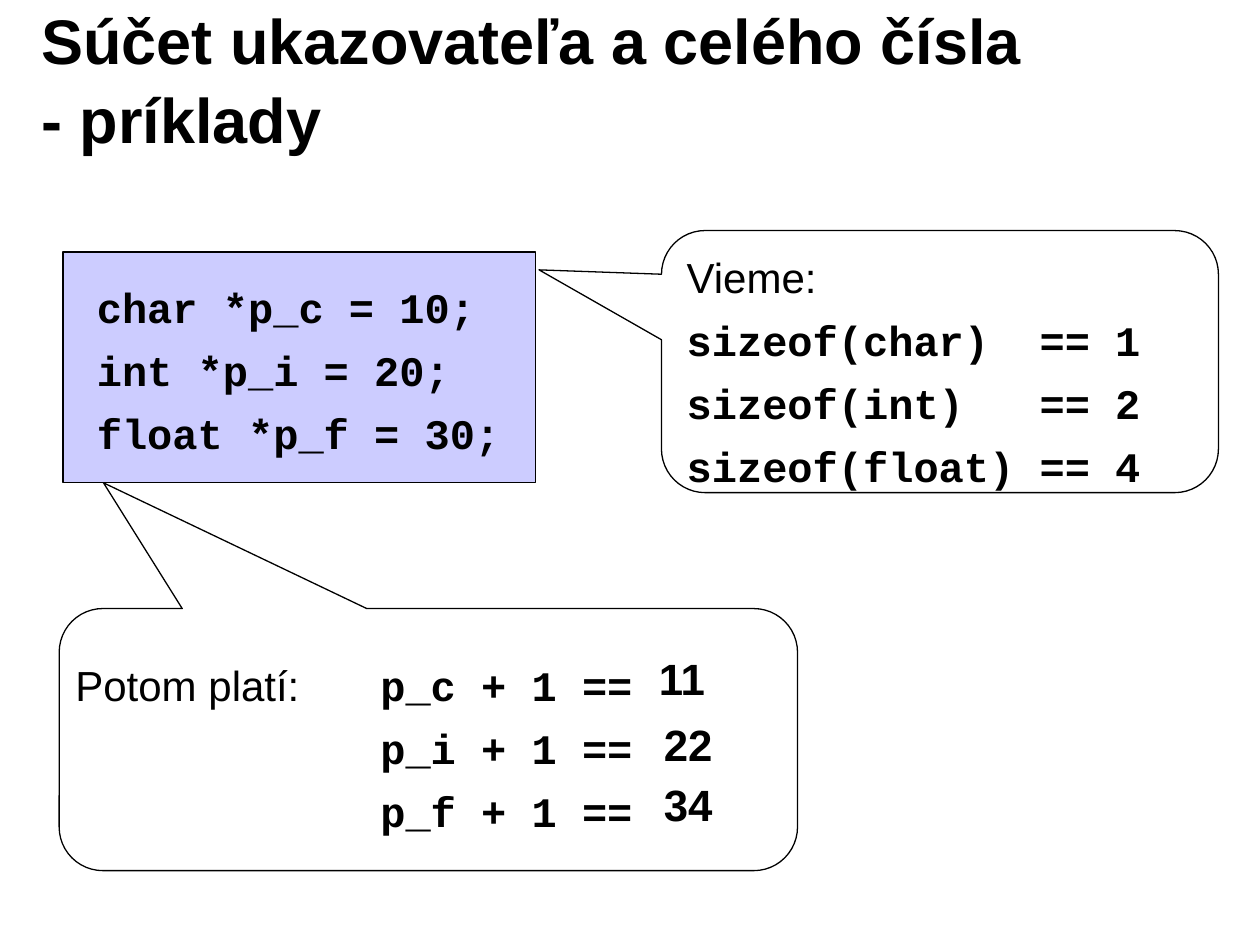
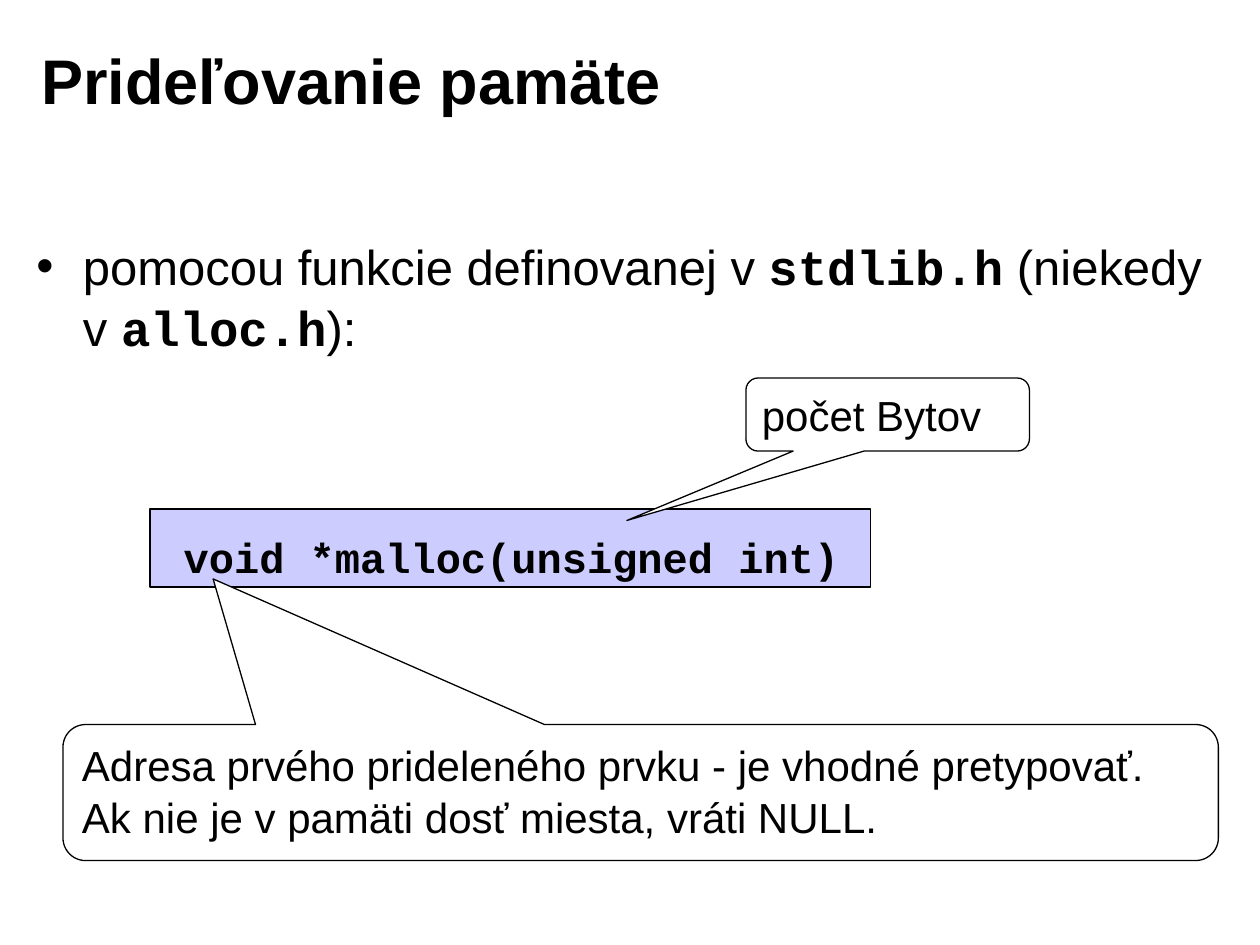
from dataclasses import dataclass
from typing import NamedTuple

from lxml.etree import SubElement
from pptx import Presentation
from pptx.dml.color import RGBColor
from pptx.enum.shapes import MSO_SHAPE
from pptx.enum.text import MSO_ANCHOR, PP_ALIGN
from pptx.oxml.ns import qn
from pptx.shapes.autoshape import Shape
from pptx.slide import Slide
from pptx.util import Inches, Pt


@dataclass(frozen=True)
class Theme:
    ink: RGBColor = RGBColor(0x00, 0x00, 0x00)
    paper: RGBColor = RGBColor(0xFF, 0xFF, 0xFF)
    code_fill: RGBColor = RGBColor(0xCC, 0xCC, 0xFF)
    prose_font: str = "Arial"
    code_font: str = "Courier New"
    title_size: int = 36
    bullet_size: int = 28
    result_size: int = 25
    text_size: int = 24
    paragraph_gap: int = 6
    line_spacing: float = 1.04
    outline: float = 0.75


THEME = Theme()


class Box(NamedTuple):
    left: float
    top: float
    width: float
    height: float

    def lengths(self) -> list[Inches]:
        return [Inches(value) for value in self]


class Run(NamedTuple):
    text: str
    code: bool = False


class Callout(NamedTuple):
    box: Box
    tip_x: float  # tip offset from the centre, as a share of the width
    tip_y: float  # tip offset from the centre, as a share of the height
    lines: list[list[Run]]


class Result(NamedTuple):
    text: str
    box: Box


def write_text(shape: Shape, lines: list[list[Run]], *, size: int = THEME.text_size,
               bold: bool = False, gap: int = THEME.paragraph_gap,
               anchor: MSO_ANCHOR = MSO_ANCHOR.TOP, bullet: bool = False) -> None:
    """Fill a shape with one paragraph per line; code runs are bold monospace."""
    frame = shape.text_frame
    frame.word_wrap = True
    frame.vertical_anchor = anchor
    for index, line in enumerate(lines):
        paragraph = frame.add_paragraph() if index else frame.paragraphs[0]
        paragraph.alignment = PP_ALIGN.LEFT
        paragraph.line_spacing = THEME.line_spacing
        if index:
            paragraph.space_before = Pt(gap)
        if bullet:
            properties = paragraph._p.get_or_add_pPr()
            properties.set("marL", str(Inches(0.37)))
            properties.set("indent", str(Inches(-0.37)))
            SubElement(properties, qn("a:buFont")).set("typeface", THEME.prose_font)
            SubElement(properties, qn("a:buChar")).set("char", "•")
        for part in line:
            run = paragraph.add_run()
            run.text = part.text
            run.font.name = THEME.code_font if part.code else THEME.prose_font
            run.font.size = Pt(size)
            run.font.bold = bold or part.code
            run.font.color.rgb = THEME.ink


def add_text(slide: Slide, box: Box, lines: list[list[Run]], **text_format) -> None:
    write_text(slide.shapes.add_textbox(*box.lengths()), lines, **text_format)


def add_outlined(slide: Slide, kind: MSO_SHAPE, box: Box, fill: RGBColor) -> Shape:
    shape = slide.shapes.add_shape(kind, *box.lengths())
    shape.shadow.inherit = False
    shape.fill.solid()
    shape.fill.fore_color.rgb = fill
    shape.line.color.rgb = THEME.ink
    shape.line.width = Pt(THEME.outline)
    return shape


def add_callout(slide: Slide, callout: Callout) -> None:
    shape = add_outlined(slide, MSO_SHAPE.ROUNDED_RECTANGULAR_CALLOUT,
                         callout.box, THEME.paper)
    shape.adjustments[0] = callout.tip_x
    shape.adjustments[1] = callout.tip_y
    if callout.lines:
        write_text(shape, callout.lines)


def add_code_panel(slide: Slide, panel: Box, text_box: Box, lines: list[str]) -> None:
    add_outlined(slide, MSO_SHAPE.RECTANGLE, panel, THEME.code_fill)
    add_text(slide, text_box, code_lines(*lines))


def code_lines(*lines: str) -> list[list[Run]]:
    return [[Run(line, code=True)] for line in lines]


def add_titled_slide(presentation: Presentation, title: str) -> Slide:
    slide = presentation.slides.add_slide(presentation.slide_layouts[6])
    add_text(slide, Box(0.23, 0.15, 8.03, 0.93), [[Run(title)]],
             size=THEME.title_size, bold=True, anchor=MSO_ANCHOR.MIDDLE)
    return slide


def build_pointer_sums(presentation: Presentation) -> None:
    slide = add_titled_slide(presentation, "Súčet ukazovateľa a celého čísla - príklady")

    # Pointer declarations
    add_code_panel(slide, Box(0.5, 2, 3.75, 1.83), Box(0.67, 2.17, 3.58, 1.83),
                   ["char *p_c = 10;", "int *p_i = 20;", "float *p_f = 30;"])

    # Sums and their results
    add_callout(slide, Callout(Box(0.47, 4.83, 5.86, 2.08), -0.44, -0.98, []))
    add_text(slide, Box(0.5, 5.17, 2.08, 0.5), [[Run("Potom platí:")]])
    add_text(slide, Box(2.92, 5.17, 2.25, 1.5),
             code_lines("p_c + 1 ==", "p_i + 1 ==", "p_f + 1 =="))
    results = [
        Result("11", Box(5.13, 5.11, 0.62, 0.47)),
        Result("22", Box(5.17, 5.63, 0.67, 0.46)),
        Result("34", Box(5.17, 6.11, 0.75, 0.56)),
    ]
    for result in results:
        add_text(slide, result.box, [[Run(result.text)]],
                 size=THEME.result_size, bold=True)

    # Known type sizes
    sizes = code_lines("sizeof(char)  == 1", "sizeof(int)   == 2", "sizeof(float) == 4")
    add_callout(slide, Callout(Box(5.25, 1.83, 4.42, 2.08), -0.72, -0.35,
                               [[Run("Vieme:")], *sizes]))


def build_memory_allocation(presentation: Presentation) -> None:
    slide = add_titled_slide(presentation, "Prideľovanie pamäte")

    # Header files
    add_text(slide, Box(0.19, 1.81, 9.61, 1.51),
             [[Run("pomocou funkcie definovanej v "), Run("stdlib.h", code=True),
               Run(" (niekedy v "), Run("alloc.h", code=True), Run("):")]],
             size=THEME.bullet_size, bullet=True)

    # Function prototype
    add_code_panel(slide, Box(1.19, 4.04, 5.72, 0.62), Box(1.36, 4.15, 5.47, 0.5),
                   ["void *malloc(unsigned int)"])

    # Explanations of the argument and the returned value
    explanations = [
        Callout(Box(5.92, 3, 2.25, 0.58), -0.92, 1.45, [[Run("počet Bytov")]]),
        Callout(Box(0.5, 5.75, 9.17, 1.08), -0.37, -1.57,
                [[Run("Adresa prvého prideleného prvku - je vhodné pretypovať. "
                      "Ak nie je v pamäti dosť miesta, vráti NULL.")]]),
    ]
    for explanation in explanations:
        add_callout(slide, explanation)


def main() -> None:
    presentation = Presentation()
    presentation.slide_width = Inches(10)
    presentation.slide_height = Inches(7.5)
    build_pointer_sums(presentation)
    build_memory_allocation(presentation)
    presentation.save("out.pptx")


if __name__ == "__main__":
    main()
